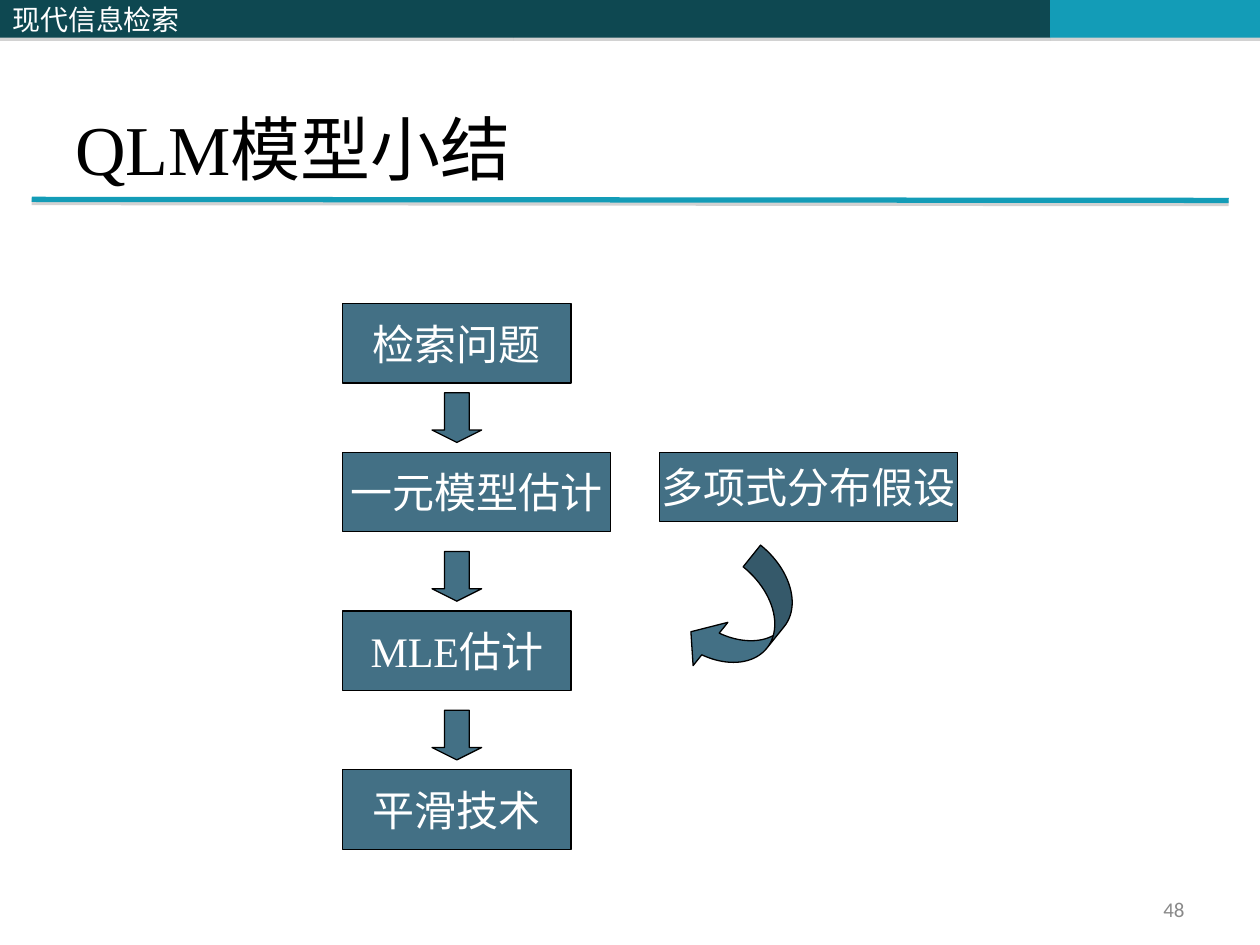
from lxml.etree import SubElement
from pptx import Presentation
from pptx.dml.color import RGBColor
from pptx.enum.shapes import MSO_CONNECTOR, MSO_SHAPE
from pptx.enum.text import MSO_ANCHOR, PP_ALIGN
from pptx.oxml import parse_xml
from pptx.oxml.ns import nsdecls, qn
from pptx.util import Cm, Pt

COLORS = {
    "dark teal": "0E4851",
    "teal": "139CB7",
    "box": "437085",
    "black": "000000",
    "white": "FFFFFF",
    "gray": "898989",
}
CJK_FONT = "Noto Sans CJK SC"
SERIF_FONT = "Times New Roman"
SHADOW = (
    f'<a:effectLst {nsdecls("a")}><a:outerShdw blurRad="0" dist="{Pt(1.8)}" dir="5400000" rotWithShape="0">'
    '<a:srgbClr val="808080"><a:alpha val="35000"/></a:srgbClr></a:outerShdw></a:effectLst>'
)


def write(shape, text, size, color, font=SERIF_FONT, align=PP_ALIGN.LEFT, anchor=MSO_ANCHOR.MIDDLE, wrap=True):
    frame = shape.text_frame
    frame.text = text
    frame.word_wrap = wrap
    frame.vertical_anchor = anchor
    paragraph = frame.paragraphs[0]
    paragraph.alignment = align
    run_font = paragraph.runs[0].font
    run_font.size = Pt(size)
    run_font.name = font
    run_font.color.rgb = RGBColor.from_string(COLORS[color])
    SubElement(run_font._element, qn("a:ea")).set("typeface", CJK_FONT)


def add_filled(kind, left, top, width, height, color, outlined=True):
    """Add a preset shape, measured in cm, with a thin black outline or none."""
    shape = slide.shapes.add_shape(kind, Cm(left), Cm(top), Cm(width), Cm(height))
    shape.shadow.inherit = False
    shape.fill.solid()
    shape.fill.fore_color.rgb = RGBColor.from_string(COLORS[color])
    if outlined:
        shape.line.color.rgb = RGBColor.from_string(COLORS["black"])
        shape.line.width = Pt(0.75)
    else:
        shape.line.fill.background()
    return shape


presentation = Presentation()
presentation.slide_width = Cm(25.4)
presentation.slide_height = Cm(19.05)
slide = presentation.slides.add_slide(presentation.slide_layouts[6])

# Header band
for left, width, color, text in [
    (10.36, 10.81, "dark teal", None),
    (21.17, 4.23, "teal", None),
    (0, 10.36, "dark teal", "现代信息检索"),
]:
    band = add_filled(MSO_SHAPE.RECTANGLE, left, 0, width, 0.76, color, outlined=False)
    band._element.spPr.remove(band._element.spPr.find(qn("a:effectLst")))
    band._element.spPr.append(parse_xml(SHADOW))
    if text:
        write(band, text, 16, "white", font=CJK_FONT)

# Title, rule and page number
rule = slide.shapes.add_connector(MSO_CONNECTOR.STRAIGHT, Cm(0.64), Cm(4.02), Cm(24.77), Cm(4.04))
rule.line.color.rgb = RGBColor.from_string(COLORS["teal"])
rule.line.width = Pt(3)
rule._element.spPr.append(parse_xml(SHADOW))

title = slide.shapes.add_textbox(Cm(1.27), Cm(0.76), Cm(22.86), Cm(3.18))
write(title, "QLM模型小结", 40, "black", anchor=MSO_ANCHOR.BOTTOM)

page_number = slide.shapes.add_textbox(Cm(18.21), Cm(17.98), Cm(5.92), Cm(0.69))
write(page_number, "48", 12, "gray", font="Calibri", align=PP_ALIGN.RIGHT)

# Flow of boxes, with the assumption beside it
for left, top, width, height, text in [
    (6.91, 6.12, 4.6, 1.6, "检索问题"),
    (6.91, 9.12, 5.4, 1.6, "一元模型估计"),
    (6.91, 12.32, 4.6, 1.6, "MLE估计"),
    (6.91, 15.52, 4.6, 1.6, "平滑技术"),
    (13.3, 9.12, 6, 1.4, "多项式分布假设"),
]:
    box = add_filled(MSO_SHAPE.RECTANGLE, left, top, width, height, "box")
    write(box, text, 24, "white", align=PP_ALIGN.CENTER, wrap=False)

for step in range(3):
    arrow = add_filled(MSO_SHAPE.DOWN_ARROW, 8.71, 7.92 + 3.2 * step, 1, 1, "box")
    arrow.adjustments[0] = 0.5
    arrow.adjustments[1] = 0.25

curved_arrow = add_filled(MSO_SHAPE.CURVED_LEFT_ARROW, 14.3, 11.12, 1.4, 2.8, "box")
curved_arrow.rotation = 38.8
for index, value in enumerate([0.4, 0.8, 0.33]):
    curved_arrow.adjustments[index] = value

presentation.save("out.pptx")
